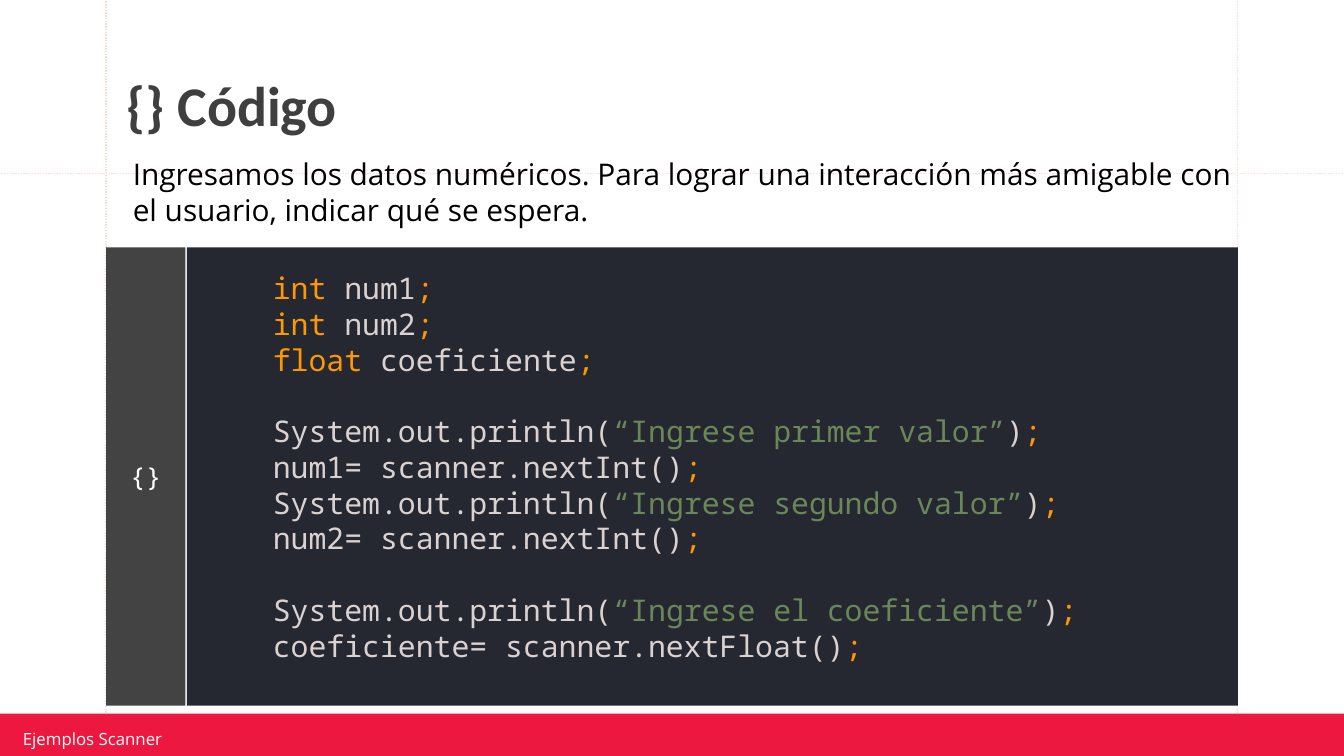
from lxml.etree import SubElement
from pptx import Presentation
from pptx.dml.color import RGBColor
from pptx.enum.dml import MSO_LINE
from pptx.enum.shapes import MSO_CONNECTOR, MSO_SHAPE
from pptx.enum.text import MSO_ANCHOR as Anchor, PP_ALIGN as Align
from pptx.oxml.ns import qn
from pptx.util import Pt

PX = 9144
SANS, MONO = "Open Sans", "Noto Sans Mono"
WHITE, KEYWORD, PLAIN, STRING = "FFFFFF", "FF9800", "DAD1D1", "6A8759"
LINE_PITCH = Pt(19.15)


def px(*lengths):
    """Turn pixel lengths into EMU."""
    return [length * PX for length in lengths]


def color(value):
    """Turn a hex string into a colour."""
    return RGBColor.from_string(value)


def style(span, size, font, fill, bold=False):
    """Set the font of one run."""
    span.font.size, span.font.name, span.font.bold = Pt(size), font, bold
    span.font.color.rgb = color(fill)


def set_frame(shape, insets, anchor):
    """Set wrapping, insets and anchor of a text frame, and return it."""
    frame = shape.text_frame
    frame.word_wrap = True
    frame.vertical_anchor = anchor
    (frame.margin_left, frame.margin_top,
     frame.margin_right, frame.margin_bottom) = px(*insets)
    return frame


def add_panel(page, box, fill):
    """Add a plain filled rectangle."""
    panel = page.shapes.add_shape(MSO_SHAPE.RECTANGLE, *px(*box))
    panel.shadow.inherit = False
    panel.fill.solid()
    panel.fill.fore_color.rgb = color(fill)
    panel.line.fill.background()
    return panel


def add_guide(page, start, end):
    """Add a dotted guide line."""
    guide = page.shapes.add_connector(MSO_CONNECTOR.STRAIGHT, *px(*start, *end))
    guide.line.color.rgb = color("FCD8D6")
    guide.line.width = Pt(0.75)
    guide.line.dash_style = MSO_LINE.ROUND_DOT
    SubElement(guide._element.spPr, qn("a:effectLst"))


def add_guides(page):
    """Draw the guides that frame the content."""
    for x in (79, 921):
        add_guide(page, (x, -1), (x, 533))
    for y in (129, 532):
        add_guide(page, (-1, y), (1003, y))


def add_footer(page, box, text):
    """Draw the footer bar with its label."""
    left, top, _, _ = box
    add_panel(page, box, "EC183F")
    label = page.shapes.add_textbox(*px(left + 14, top + 11, 239, 15))
    frame = set_frame(label, (5, 2, 5, 2), Anchor.MIDDLE)
    frame.text = text
    style(frame.paragraphs[0].runs[0], 9, SANS, WHITE)


def add_title(page, box, text):
    """Place and format the title."""
    title = page.shapes.title
    title.left, title.top, title.width, title.height = px(*box)
    frame = set_frame(title, (60, 10, 10, 10), Anchor.MIDDLE)
    frame.text = text
    para = frame.paragraphs[0]
    para.alignment, para.line_spacing = Align.LEFT, 0.9
    style(para.runs[0], 30, "Calibri", "3F3F3F", True)


def add_intro(page, box, text):
    """Write the explanation above the code."""
    intro = page.shapes.add_textbox(*px(*box))
    frame = set_frame(intro, (10, 38, 10, 10), Anchor.TOP)
    frame.text = text
    para = frame.paragraphs[0]
    para.line_spacing = LINE_PITCH
    style(para.runs[0], 16, SANS, "000000")


def declare(kind, name):
    """Return the coloured parts of a declaration."""
    return [(kind + " ", KEYWORD), (name, PLAIN)]


def prompt(text):
    """Return the coloured parts of a print statement."""
    return [("System.out.println(", PLAIN), (f"“{text}”", STRING), (")", PLAIN)]


def read_value(name, method):
    """Return the coloured part of a scanner call."""
    return [(f"{name}= scanner.{method}()", PLAIN)]


def add_code(page, box, blocks):
    """Draw the code panel and its gutter, with a gap between blocks."""
    left, top, width, height = box
    gutter_width = 59
    code_left = gutter_width + 1
    panel = add_panel(page, (left + code_left, top, width - code_left, height), "262831")
    frame = set_frame(panel, (64, 17, 10, 0), Anchor.TOP)
    para = frame.paragraphs[0]
    for block_index, block in enumerate(blocks):
        for line_index, statement in enumerate(block):
            if block_index or line_index:
                para = frame.add_paragraph()
            para.alignment, para.line_spacing = Align.LEFT, LINE_PITCH
            if block_index and not line_index:
                para.space_before = LINE_PITCH
            for text, fill in statement + [(";", KEYWORD)]:
                span = para.add_run()
                span.text = text
                style(span, 16, MONO, fill)

    gutter = add_panel(page, (left, top, gutter_width, height), "434343")
    frame = set_frame(gutter, (10, 10, 10, 10), Anchor.MIDDLE)
    frame.text = "{}"
    para = frame.paragraphs[0]
    para.alignment = Align.CENTER
    style(para.runs[0], 14, MONO, WHITE)


def main():
    """Build the slide and save it."""
    deck = Presentation()
    deck.slide_width = 1000 * PX
    deck.slide_height = deck.slide_width * 9 // 16
    page = deck.slides.add_slide(deck.slide_layouts[5])
    add_guides(page)
    add_footer(page, (-2, 531, 1003, 36), "Ejemplos Scanner")
    add_title(page, (34, 49, 932, 63), "{} Código")
    add_intro(page, (89, 78, 846, 128),
              "Ingresamos los datos numéricos. Para lograr una interacción más "
              "amigable con el usuario, indicar qué se espera.")
    add_code(page, (79, 184, 842, 341), [
        [declare("int", "num1"), declare("int", "num2"),
         declare("float", "coeficiente")],
        [prompt("Ingrese primer valor"), read_value("num1", "nextInt"),
         prompt("Ingrese segundo valor"), read_value("num2", "nextInt")],
        [prompt("Ingrese el coeficiente"), read_value("coeficiente", "nextFloat")],
    ])
    deck.save("out.pptx")


if __name__ == "__main__":
    main()
